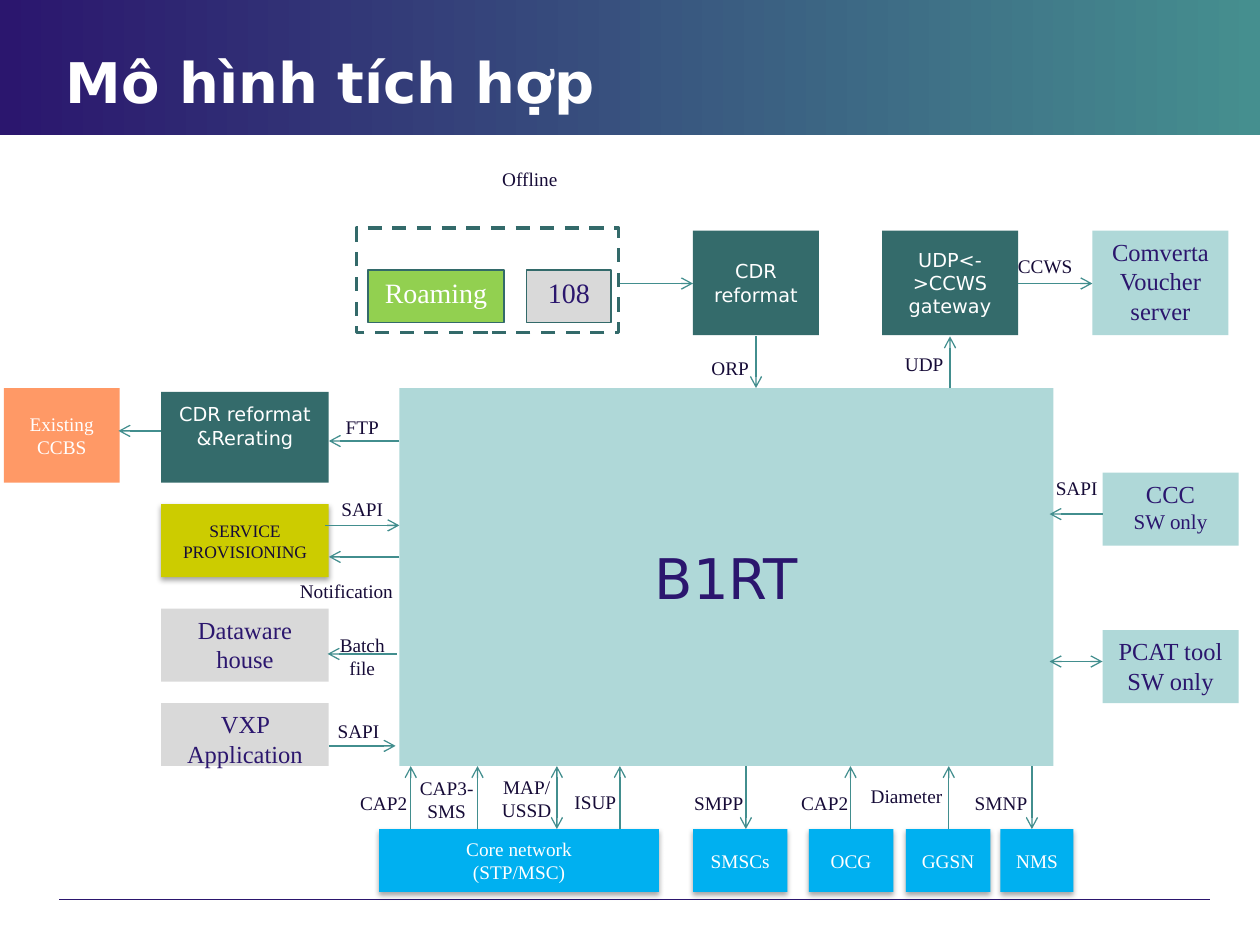
from dataclasses import dataclass

from pptx import Presentation
from pptx.dml.color import RGBColor
from pptx.enum.dml import MSO_LINE
from pptx.enum.shapes import MSO_CONNECTOR, MSO_SHAPE
from pptx.enum.text import MSO_ANCHOR, PP_ALIGN
from pptx.oxml.xmlchemy import OxmlElement
from pptx.util import Pt

PX = 9144
RECT, STRAIGHT, DASH = MSO_SHAPE.RECTANGLE, MSO_CONNECTOR.STRAIGHT, MSO_LINE.DASH
TOP, MIDDLE = MSO_ANCHOR.TOP, MSO_ANCHOR.MIDDLE
LEFT, CENTER = PP_ALIGN.LEFT, PP_ALIGN.CENTER
SERIF, SANS = "Times New Roman", "DejaVu Sans"
COLORS = {
    "indigo": "2B166E", "teal": "458F8F", "white": "FFFFFF", "ink": "160B37",
    "pale": "AFD8D8", "deep": "346B6B", "edge": "336A6A", "link": "428E8E",
    "orange": "FF9966", "olive": "CCCC00", "blue": "00B0F0", "gray": "D9D9D9",
    "green": "92D050", "black": "000000",
}
PALE = {"fill": "pale", "size": 14}
GRAY = {"fill": "gray", "size": 14}
GATEWAY = {"fill": "deep", "size": 11, "font": SANS, "color": "white", "anchor": MIDDLE}
SYSTEM = {"fill": "blue", "size": 11, "color": "white", "anchor": MIDDLE, "shadow": True}


@dataclass
class Region:
    shapes: object
    left: int
    top: int
    width: int
    height: int

    def emu(self, x, y):
        return (self.left + x) * PX, (self.top + y) * PX


def rgb(name):
    return RGBColor.from_string(COLORS[name])


def write(frame, text, size=11, font=SERIF, color="indigo", bold=False,
          anchor=TOP, align=CENTER):
    frame.word_wrap = True
    frame.vertical_anchor = anchor
    frame.text = text
    for paragraph in frame.paragraphs:
        paragraph.alignment = align
        for run in paragraph.runs:
            run.font.size = Pt(size)
            run.font.name = font
            run.font.bold = bold
            run.font.color.rgb = rgb(color)


def xml(parent, tag, **attributes):
    child = OxmlElement(tag)
    for key, value in attributes.items():
        child.set(key, str(value))
    parent.append(child)
    return child


def cast_shadow(block):
    effects = block.element.spPr.find(".//{*}effectLst")
    outer = xml(effects, "a:outerShdw", blurRad=Pt(3.1), dist=Pt(1.8),
                dir=5400000, rotWithShape=0)
    xml(xml(outer, "a:srgbClr", val=COLORS["black"]), "a:alpha", val=35000)


def box(region, x, y, width, height, text="", fill=None, edge=0, shadow=False, **fmt):
    block = region.shapes.add_shape(RECT, *region.emu(x, y), width * PX, height * PX)
    block.shadow.inherit = False
    if fill:
        block.fill.solid()
        block.fill.fore_color.rgb = rgb(fill)
    else:
        block.fill.background()
    if edge:
        block.line.color.rgb = rgb("edge")
        block.line.width = Pt(edge)
    else:
        block.line.fill.background()
    if shadow:
        cast_shadow(block)
    if text:
        write(block.text_frame, text, **fmt)
    return block


def label(region, x, y, text, width=75, height=50):
    note = region.shapes.add_textbox(*region.emu(x, y), width * PX, height * PX)
    write(note.text_frame, text, color="ink", anchor=MIDDLE)


def line(region, x1, y1, x2, y2, color="link", ends=("tailEnd",)):
    link = region.shapes.add_connector(STRAIGHT, *region.emu(x1, y1), *region.emu(x2, y2))
    link.line.color.rgb = rgb(color)
    link.line.width = Pt(0.75)
    for end in ends:
        xml(link.line._get_or_add_ln(), f"a:{end}", type="arrow")
    xml(link.element.spPr, "a:effectLst")


def header(region, title):
    band = box(region, 0, 0, region.width, region.height, fill="indigo")
    band.fill.gradient()
    band.fill.gradient_angle = 0
    for stop, color, position in zip(band.fill.gradient_stops, ("indigo", "teal"), (0, 1)):
        stop.color.rgb = rgb(color)
        stop.position = position
    title.element.addprevious(band.element)
    title.left, title.top = region.emu(42, 33)
    title.width, title.height = 692 * PX, 62 * PX
    write(title.text_frame, "Mô hình tích hợp", size=32, font=SANS, color="white",
          bold=True, anchor=MIDDLE, align=LEFT)


def footer(region):
    line(region, 0, 0, region.width, 0, color="indigo", ends=())


def core(region):
    box(region, 0, 0, region.width, region.height, "B1RT", fill="pale",
        size=32, font=SANS, anchor=MIDDLE)


def offline_and_vouchers(region):
    box(region, 9, 33, 108, 42, "Roaming", fill="green", edge=1, size=16, color="white")
    box(region, 135, 33, 67, 42, "108", fill="gray", edge=1, size=16)
    box(region, 0, 0, 208, 83, edge=2).line.dash_style = DASH
    box(region, 267, 2, 100, 83, "CDR reformat", **GATEWAY)
    box(region, 417, 2, 108, 83, "UDP<->CCWS gateway", **GATEWAY)
    box(region, 584, 2, 108, 83, "Comverta Voucher server", **PALE)
    for start, end in ((209, 267), (525, 584)):
        line(region, start, 44, end, 44)
    line(region, 317, 86, 317, region.height)
    line(region, 471, region.height, 471, 86)
    for x, y, text in ((100, -64, "Offline"), (259, 86, "ORP"),
                       (413, 83, "UDP"), (509, 5, "CCWS")):
        label(region, x, y, text)


def back_office(region):
    box(region, 0, 0, 92, 75, "Existing CCBS", fill="orange", color="white", anchor=MIDDLE)
    rerating = box(region, 125, 3, 133, 72, "CDR reformat\n&Rerating", **GATEWAY)
    rerating.text_frame.margin_bottom = 23 * PX
    box(region, 125, 92, 133, 58, "SERVICE PROVISIONING", fill="olive", shadow=True,
        size=10, color="ink", anchor=MIDDLE)
    box(region, 125, 175, 133, 58, "Dataware house", **GRAY)
    box(region, 125, 250, 133, 50, "VXP Application", **GRAY)
    for start, end, y in ((125, 91, 34), (314, 258, 42), (255, 314, 109),
                          (314, 258, 134), (312, 257, 211), (258, 311, 284)):
        line(region, start, y, end, y)
    for x, y, text in ((247, 2, "FTP"), (247, 67, "SAPI"),
                       (247, 184, "Batch file"), (244, 243, "SAPI")):
        label(region, x, y, text, height=58)
    label(region, 222, 138, "Notification", width=100, height=46)


def client_tools(region):
    care = box(region, 42, 67, 108, 58, "CCC\nSW only", **PALE)
    care.text_frame.paragraphs[1].runs[0].font.size = Pt(12)
    box(region, 42, 192, 108, 58, "PCAT tool\nSW only", **PALE)
    line(region, 42, 100, 0, 100)
    line(region, 0, 217, 42, 217, ends=("headEnd", "tailEnd"))
    label(region, -16, 50, "SAPI", height=58)


def network(region):
    for x, width, text in ((0, 222, "Core network\n(STP/MSC)"), (249, 75, "SMSCs"),
                           (341, 67, "OCG"), (418, 67, "GGSN"), (493, 58, "NMS")):
        box(region, x, 50, width, 50, text, **SYSTEM)
    for x in (25, 78, 191, 374, 452):
        line(region, x, 50, x, 0)
    for x in (291, 518):
        line(region, x, 0, x, 50)
    line(region, 141, 50, 141, 0, ends=("headEnd", "tailEnd"))
    for x, y, width, text in (
        (-34, -8, 75, "CAP2"), (16, -11, 75, "CAP3-SMS"), (85, -12, 64, "MAP/USSD"),
        (134, -9, 75, "ISUP"), (232, -8, 75, "SMPP"), (316, -8, 75, "CAP2"),
        (377, -14, 83, "Diameter"), (452, -8, 83, "SMNP"),
    ):
        label(region, x, y, text, width=width, height=75)


def main():
    deck = Presentation()
    deck.slide_width, deck.slide_height = 1000 * PX, 750 * PX
    slide = deck.slides.add_slide(deck.slide_layouts[5])
    shapes = slide.shapes
    header(Region(shapes, 0, 0, 1000, 107), shapes.title)
    footer(Region(shapes, 47, 714, 913, 0))
    core(Region(shapes, 317, 308, 519, 300))
    offline_and_vouchers(Region(shapes, 283, 181, 692, 127))
    back_office(Region(shapes, 3, 308, 314, 300))
    client_tools(Region(shapes, 833, 308, 150, 300))
    network(Region(shapes, 301, 608, 551, 100))
    deck.save("out.pptx")


if __name__ == "__main__":
    main()
